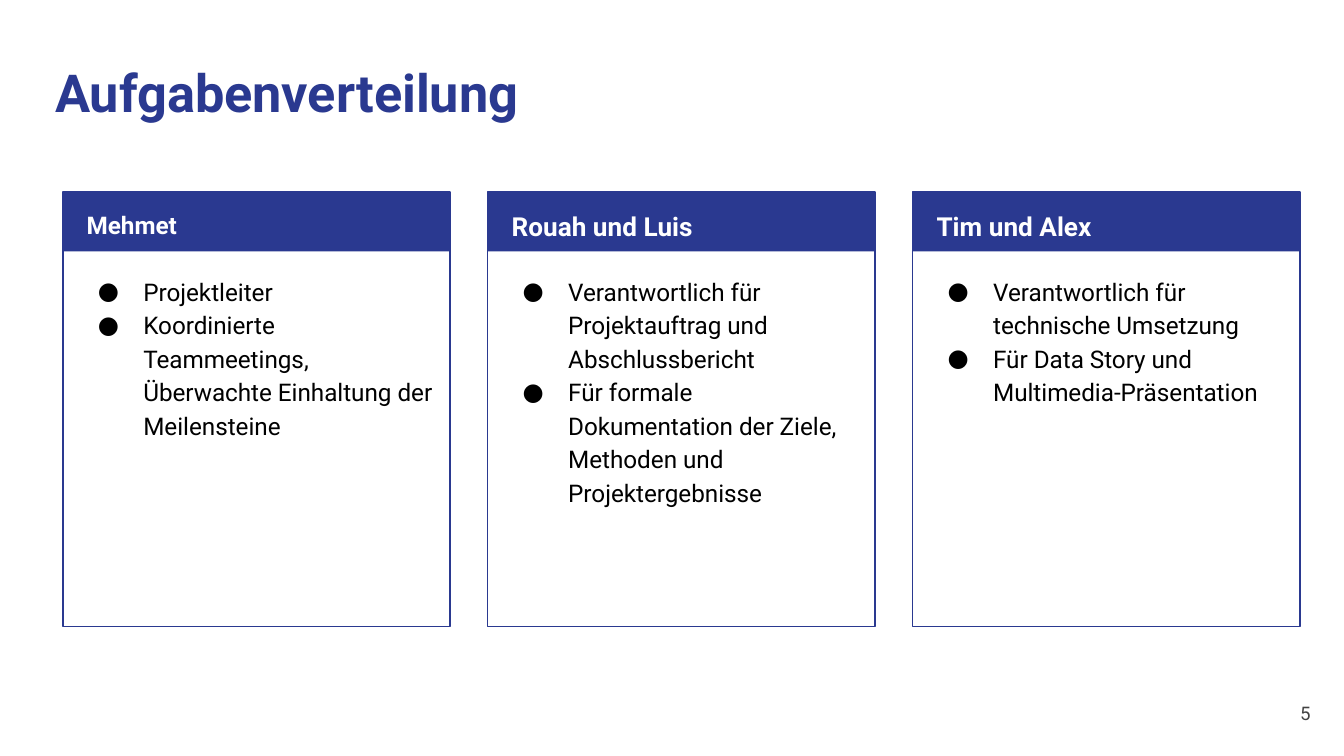
from lxml.etree import SubElement as Sub
from pptx import Presentation
from pptx.dml.color import RGBColor
from pptx.enum.shapes import MSO_SHAPE as Kind
from pptx.enum.text import MSO_ANCHOR as Anchor, MSO_AUTO_SIZE as Fit, PP_ALIGN as Align
from pptx.oxml.ns import qn
from pptx.util import Cm, Pt

BLUE = "2A3990"
WHITE = "FFFFFF"
BLACK = "000000"
GREY = "434343"
FONT = "Roboto"

TEAMS = [
    ("Mehmet", 13, [
        "Projektleiter",
        "Koordinierte Teammeetings, Überwachte Einhaltung der Meilensteine"]),
    ("Rouah und Luis", 14, [
        "Verantwortlich für Projektauftrag und Abschlussbericht",
        "Für formale Dokumentation der Ziele, Methoden und Projektergebnisse"]),
    ("Tim und Alex", 14, [
        "Verantwortlich für technische Umsetzung",
        "Für Data Story und Multimedia-Präsentation"]),
]


def color(code):
    return RGBColor.from_string(code)


def bullet(para):
    props = para._p.get_or_add_pPr()
    props.set("marL", str(Cm(1.27)))
    props.set("indent", str(Cm(-0.86)))
    tint = Sub(props, qn("a:buClr"))
    Sub(tint, qn("a:srgbClr"), val=BLACK)
    Sub(props, qn("a:buFont"), typeface=FONT)
    Sub(props, qn("a:buChar"), char="●")


def write(shape, lines, size=13, tint=BLACK, bold=False, align=Align.LEFT,
          anchor=Anchor.TOP, space=1.0, dots=False):
    frame = shape.text_frame
    frame.word_wrap = True
    frame.auto_size = Fit.NONE
    frame.vertical_anchor = anchor
    frame.margin_left = frame.margin_right = Cm(0.25)
    frame.margin_top = frame.margin_bottom = Cm(0.25)
    frame.text = "\n".join(lines)
    for para in frame.paragraphs:
        para.alignment = align
        para.line_spacing = space
        para.space_before = para.space_after = Pt(0)
        if dots:
            bullet(para)
        font = para.runs[0].font
        font.name = FONT
        font.size = Pt(size)
        font.bold = bold
        font.color.rgb = color(tint)


def block(shapes, left, top, width, height, fill=None, line=None):
    shape = shapes.add_shape(Kind.RECTANGLE, Cm(left), Cm(top), Cm(width), Cm(height))
    shape.shadow.inherit = False
    if fill:
        shape.fill.solid()
        shape.fill.fore_color.rgb = color(fill)
    else:
        shape.fill.background()
    if line:
        shape.line.color.rgb = color(line)
        shape.line.width = Pt(0.75)
    else:
        shape.line.fill.background()


def label(shapes, left, top, width, height, lines, **style):
    box = shapes.add_textbox(Cm(left), Cm(top), Cm(width), Cm(height))
    write(box, lines, **style)


def head(slide, left, top, width, height, text):
    title = slide.shapes.title
    title.left, title.top = Cm(left), Cm(top)
    title.width, title.height = Cm(width), Cm(height)
    write(title, [text], size=28, tint=BLUE, bold=True)


def card(shapes, left, top, width, height, name, size, tasks):
    bar = 1.12
    gap = 0.2
    drop = 1.27
    block(shapes, left, top, width, bar, fill=BLUE)
    block(shapes, left, top, width, height, line=BLUE)
    label(shapes, left + gap, top, width - 2 * gap, drop, [name],
          size=size, tint=WHITE, bold=True, space=1.15)
    label(shapes, left, top + drop, width, height - drop, tasks,
          space=1.15, dots=True)


def cards(shapes, left, top, width, height, teams):
    wide = 7.32
    step = (width - wide) / (len(teams) - 1)
    for spot, team in enumerate(teams):
        card(shapes, left + spot * step, top, wide, height, *team)


def main():
    deck = Presentation()
    deck.slide_width, deck.slide_height = Cm(25.4), Cm(14.28)
    slide = deck.slides.add_slide(deck.slide_layouts[5])
    head(slide, 0.79, 0.89, 23.67, 1.68, "Aufgabenverteilung")
    cards(slide.shapes, 1.19, 3.63, 23.38, 8.2, TEAMS)
    label(slide.shapes, 23.5, 12.93, 1.52, 1.09, ["5"], size=10, tint=GREY,
          align=Align.RIGHT, anchor=Anchor.MIDDLE)
    deck.save("out.pptx")


if __name__ == "__main__":
    main()
